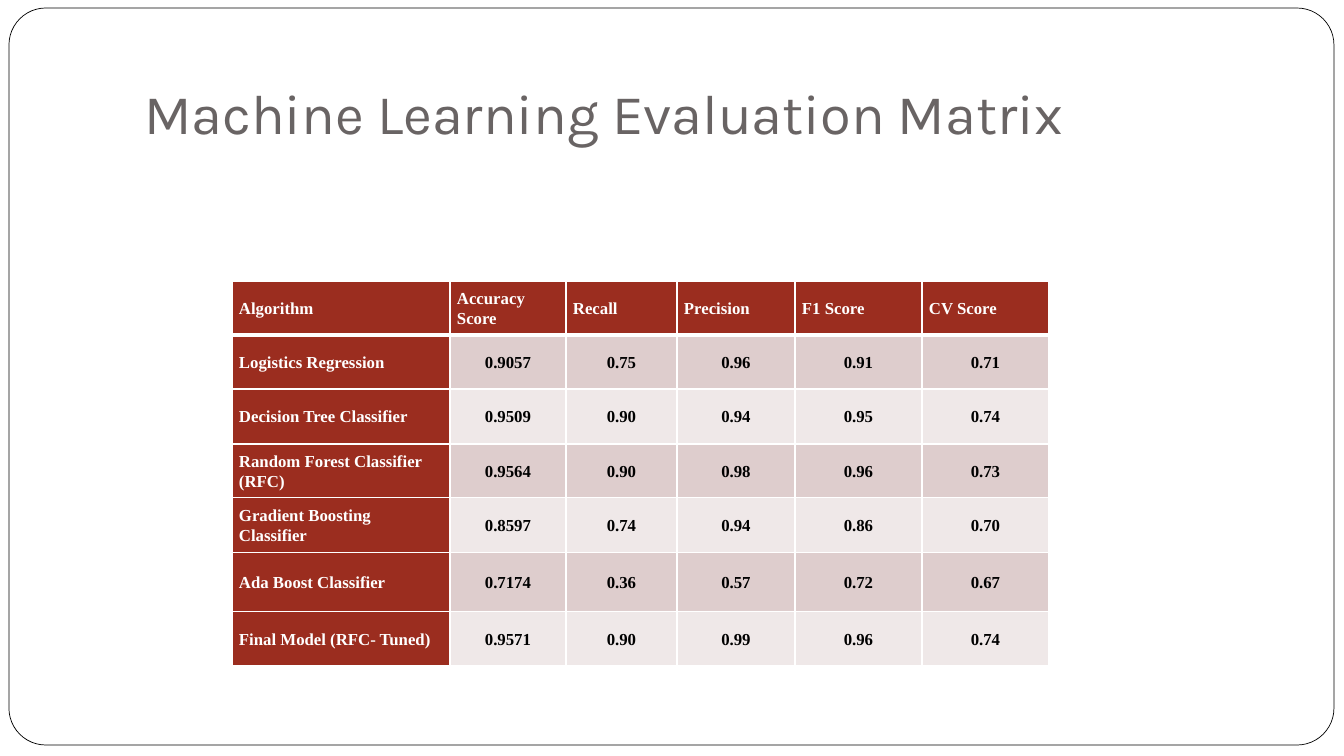
from lxml import etree
from pptx import Presentation
from pptx.dml.color import RGBColor
from pptx.enum.shapes import MSO_SHAPE
from pptx.enum.text import MSO_ANCHOR, PP_ALIGN
from pptx.oxml.ns import qn
from pptx.util import Pt

TITLE = "Machine Learning Evaluation Matrix"
HEADERS = ["Algorithm", "Accuracy Score", "Recall", "Precision", "F1 Score", "CV Score"]
SCORES = [
    ("Logistics Regression", "0.9057", "0.75", "0.96", "0.91", "0.71"),
    ("Decision Tree Classifier", "0.9509", "0.90", "0.94", "0.95", "0.74"),
    ("Random Forest Classifier (RFC)", "0.9564", "0.90", "0.98", "0.96", "0.73"),
    ("Gradient Boosting Classifier", "0.8597", "0.74", "0.94", "0.86", "0.70"),
    ("Ada Boost Classifier", "0.7174", "0.36", "0.57", "0.72", "0.67"),
    ("Final Model (RFC- Tuned)", "0.9571", "0.90", "0.99", "0.96", "0.74"),
]
COLUMN_WIDTHS = [218, 116, 111, 118, 127, 127]
ROW_HEIGHTS = [54, 54, 55, 54, 55, 59, 54]

SLIDE_SIZE = (1344, 756)
FRAME_BOX = (9, 8, 1325, 737)
TITLE_BOX = (134, 30, 1142, 156 - 30)
TABLE_ORIGIN = (232, 281)

WHITE, BLACK, GREY, RED = "FFFFFF", "000000", "696464", "9B2D1F"
BANDS = ("DECDCD", "EFE8E8")
THIN, THICK = 1, 3
LEFT, CENTER, JUSTIFY = PP_ALIGN.LEFT, PP_ALIGN.CENTER, PP_ALIGN.JUSTIFY
MIDDLE, BOTTOM = MSO_ANCHOR.MIDDLE, MSO_ANCHOR.BOTTOM
ROUNDED = MSO_SHAPE.ROUNDED_RECTANGLE


def px(length):
    return round(length * 914400 / 100.8)


def color(value):
    return RGBColor.from_string(value)


def apply(target, values):
    for name, value in values.items():
        setattr(target, name, value)


def write(paragraph, text, ink, font, layout):
    paragraph.text = text
    apply(paragraph, layout)
    apply(paragraph.font, font)
    paragraph.font.color.rgb = color(ink)


def add_border(cell, side, points):
    properties = cell._tc.get_or_add_tcPr()
    line = etree.SubElement(properties, qn(f"a:ln{side}"), w=str(Pt(points)))
    fill = etree.SubElement(line, qn("a:solidFill"))
    etree.SubElement(fill, qn("a:srgbClr"), val=WHITE)


def add_frame(slide):
    frame = slide.shapes.add_shape(ROUNDED, *map(px, FRAME_BOX))
    frame.adjustments[0] = 0.05
    frame.shadow.inherit = False
    frame.fill.solid()
    frame.fill.fore_color.rgb = color(WHITE)
    frame.line.color.rgb = color(BLACK)
    frame.line.width = Pt(0.5)


def add_title(slide):
    text_frame = slide.shapes.add_textbox(*map(px, TITLE_BOX)).text_frame
    apply(text_frame, {
        "word_wrap": True, "vertical_anchor": BOTTOM, "margin_left": px(10),
        "margin_right": px(10), "margin_top": px(5), "margin_bottom": px(10),
    })
    write(text_frame.paragraphs[0], TITLE, GREY,
          {"name": "Karla", "size": Pt(40)}, {"alignment": LEFT})


def style_cell(cell, text, row, column):
    is_header, is_label = row == 0, column == 0
    for side, points in {
        "L": THIN, "R": THIN,
        "T": THICK if row == 1 else THIN,
        "B": THICK if is_header else THIN,
    }.items():
        add_border(cell, side, points)
    cell.fill.solid()
    cell.fill.fore_color.rgb = color(RED if is_header or is_label else BANDS[(row - 1) % 2])
    apply(cell, {
        "vertical_anchor": MIDDLE, "margin_left": px(7), "margin_right": px(7),
        "margin_top": 0, "margin_bottom": 0,
    })
    alignment = JUSTIFY if is_header else LEFT if is_label else CENTER
    write(cell.text_frame.paragraphs[0], text, WHITE if is_header or is_label else BLACK,
          {"name": "Times New Roman", "size": Pt(12), "bold": True},
          {"alignment": alignment, "line_spacing": 1.07, "space_after": Pt(8)})


def add_score_table(slide):
    rows = [HEADERS, *SCORES]
    size = (sum(COLUMN_WIDTHS), sum(ROW_HEIGHTS))
    table = slide.shapes.add_table(
        len(rows), len(HEADERS), *map(px, TABLE_ORIGIN + size)).table
    for column, width in zip(table.columns, COLUMN_WIDTHS):
        column.width = px(width)
    for row, height in zip(table.rows, ROW_HEIGHTS):
        row.height = px(height)
    for row, texts in enumerate(rows):
        for column, text in enumerate(texts):
            style_cell(table.cell(row, column), text, row, column)


def main():
    """Build the model evaluation slide and save it."""
    presentation = Presentation()
    presentation.slide_width, presentation.slide_height = map(px, SLIDE_SIZE)
    slide = presentation.slides.add_slide(presentation.slide_layouts[6])
    add_frame(slide)
    add_title(slide)
    add_score_table(slide)
    presentation.save("out.pptx")


if __name__ == "__main__":
    main()
